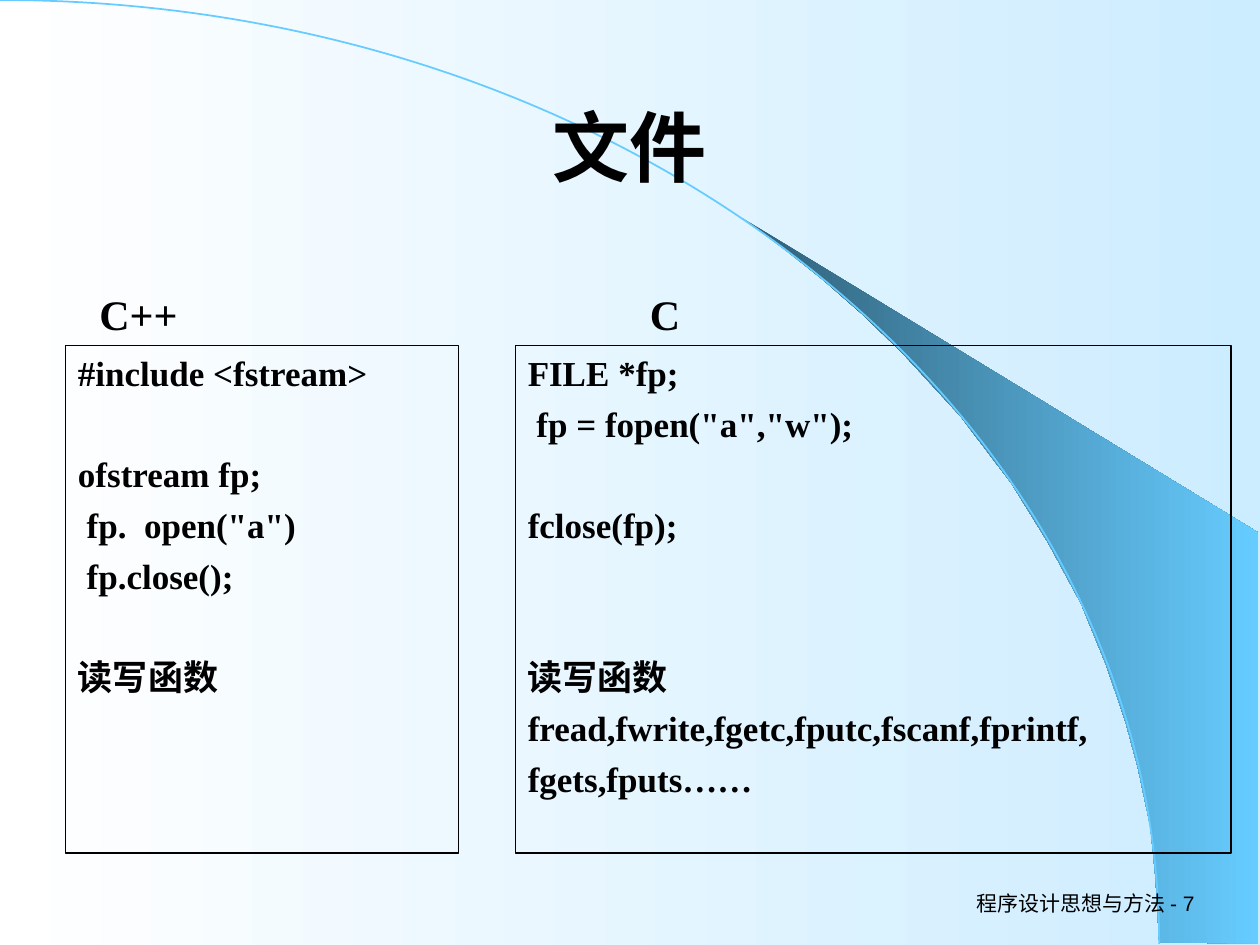
from lxml import etree
from pptx import Presentation
from pptx.dml.color import RGBColor
from pptx.enum.shapes import MSO_SHAPE
from pptx.enum.text import MSO_ANCHOR, PP_ALIGN
from pptx.oxml.ns import qn
from pptx.util import Inches, Pt

RECTANGLE = MSO_SHAPE.RECTANGLE
TOP, MIDDLE, BOTTOM = MSO_ANCHOR.TOP, MSO_ANCHOR.MIDDLE, MSO_ANCHOR.BOTTOM
LEFT, CENTER, RIGHT = PP_ALIGN.LEFT, PP_ALIGN.CENTER, PP_ALIGN.RIGHT
TITLE_ONLY = 5

COLORS = {"ink": "000000", "white": "FFFFFF", "pale": "CCECFF",
          "sky": "66CCFF", "deep": "2F5E76"}
SANS, SERIF = "Arial", "Times New Roman"
LINE_GAP, LINE_PITCH = 5, 29  # points

SWOOSH = [(9.2, 7.48), (9.99, 7.49), (9.99, 4.23), (5.89, 1.73), (6.24, 1.99),
          (6.53, 2.22), (6.85, 2.5), (7.16, 2.8), (7.62, 3.3), (8.03, 3.84),
          (8.32, 4.31), (8.58, 4.79), (8.78, 5.28), (8.93, 5.72), (9.03, 6.09),
          (9.13, 6.56), (9.17, 6.96)]
ARC_START, ARC_END = (0, 0), (9.2, 7.49)
ARC_HANDLES = [(5.08, 0), (9.2, 3.35)]

# Each line of code: blank lines above it, then its text
CPP_CODE = [(0, "#include <fstream>"), (1, "ofstream fp;"), (0, ' fp.  open("a")'),
            (0, " fp.close();"), (1, "读写函数")]
C_CODE = [(0, "FILE *fp;"), (0, ' fp = fopen("a","w");'), (1, "fclose(fp);"),
          (2, "读写函数"), (0, "fread,fwrite,fgetc,fputc,fscanf,fprintf,"),
          (0, "fgets,fputs……")]


def rgb(name):
    return RGBColor.from_string(COLORS[name])


def fill_gradient(fill, start, end):
    fill.gradient()
    fill.gradient_angle = 0
    for stop, color in zip(fill.gradient_stops, (start, end)):
        stop.color.rgb = rgb(color)


def set_frame(frame, anchor):
    frame.word_wrap = True
    frame.vertical_anchor = anchor
    frame.margin_left = frame.margin_right = Inches(0.1)
    frame.margin_top = frame.margin_bottom = Inches(0.05)


def write(paragraph, text, size, font, align=LEFT, bold=True):
    paragraph.alignment = align
    run = paragraph.add_run()
    run.text = text
    run.font.size, run.font.name, run.font.bold = Pt(size), font, bold
    run.font.color.rgb = rgb("ink")


def add_outline(slide, points, close):
    """Freeform through points given in inches."""
    corners = [(Inches(x), Inches(y)) for x, y in points]
    builder = slide.shapes.build_freeform(*corners[0], scale=1.0)
    builder.add_line_segments(corners[1:], close=close)
    outline = builder.convert_to_shape()
    outline.shadow.inherit = False
    return outline


def bend(outline, handles):
    """Turn the straight segment of an outline that starts at 0, 0 into a Bézier curve."""
    segment = next(outline.element.iter(qn("a:lnTo")))
    segment.tag = qn("a:cubicBezTo")
    for index, (x, y) in enumerate(handles):
        handle = etree.Element(qn("a:pt"), x=str(Inches(x)), y=str(Inches(y)))
        segment.insert(index, handle)


def add_backdrop(slide):
    """Gradient background, shaded swoosh and curved edge line."""
    fill_gradient(slide.background.fill, "white", "pale")
    swoosh = add_outline(slide, SWOOSH, close=True)
    fill_gradient(swoosh.fill, "deep", "sky")
    swoosh.line.fill.background()

    arc = add_outline(slide, [ARC_START, ARC_END], close=False)
    bend(arc, ARC_HANDLES)
    arc.fill.background()
    arc.line.color.rgb = rgb("sky")
    arc.line.width = Pt(1)


def place_title(slide, text, left, top, width, height):
    title = slide.shapes.title
    title.left, title.top = Inches(left), Inches(top)
    title.width, title.height = Inches(width), Inches(height)
    set_frame(title.text_frame, MIDDLE)
    write(title.text_frame.paragraphs[0], text, 44, SANS, CENTER)
    # Bring the title in front of the arc
    slide.shapes.element.append(title.element)


def add_label(slide, text, box, size, font, anchor, align=LEFT, bold=True):
    label = slide.shapes.add_textbox(*map(Inches, box))
    set_frame(label.text_frame, anchor)
    write(label.text_frame.paragraphs[0], text, size, font, align, bold)


def add_code_panel(slide, heading, heading_left, lines, left, top, width, height):
    """Framed code with its language name standing on the top edge."""
    heading_height = 0.9
    add_label(slide, heading, (heading_left, top - heading_height, 4.24, heading_height),
              24, SERIF, BOTTOM)
    panel = slide.shapes.add_shape(RECTANGLE, *map(Inches, (left, top, width, height)))
    panel.shadow.inherit = False
    panel.fill.background()
    panel.line.color.rgb = rgb("ink")
    panel.line.width = Pt(0.75)
    frame = panel.text_frame
    set_frame(frame, TOP)
    for index, (blank_lines, text) in enumerate(lines):
        paragraph = frame.add_paragraph() if index else frame.paragraphs[0]
        if index:
            paragraph.space_before = Pt(LINE_GAP + blank_lines * LINE_PITCH)
        write(paragraph, text, 20, SERIF)


def main():
    deck = Presentation()
    deck.slide_width, deck.slide_height = Inches(10), Inches(7.5)
    slide = deck.slides.add_slide(deck.slide_layouts[TITLE_ONLY])
    add_backdrop(slide)
    add_label(slide, "程序设计思想与方法 - 7", (7.5, 7, 2.08, 0.33),
              12, SANS, MIDDLE, RIGHT, bold=False)
    place_title(slide, "文件", 0.69, 0.43, 8.62, 1.45)
    add_code_panel(slide, "C++", 0.69, CPP_CODE, 0.52, 2.74, 3.12, 4.03)
    add_code_panel(slide, "C", 5.06, C_CODE, 4.09, 2.74, 5.68, 4.03)
    deck.save("out.pptx")


if __name__ == "__main__":
    main()
